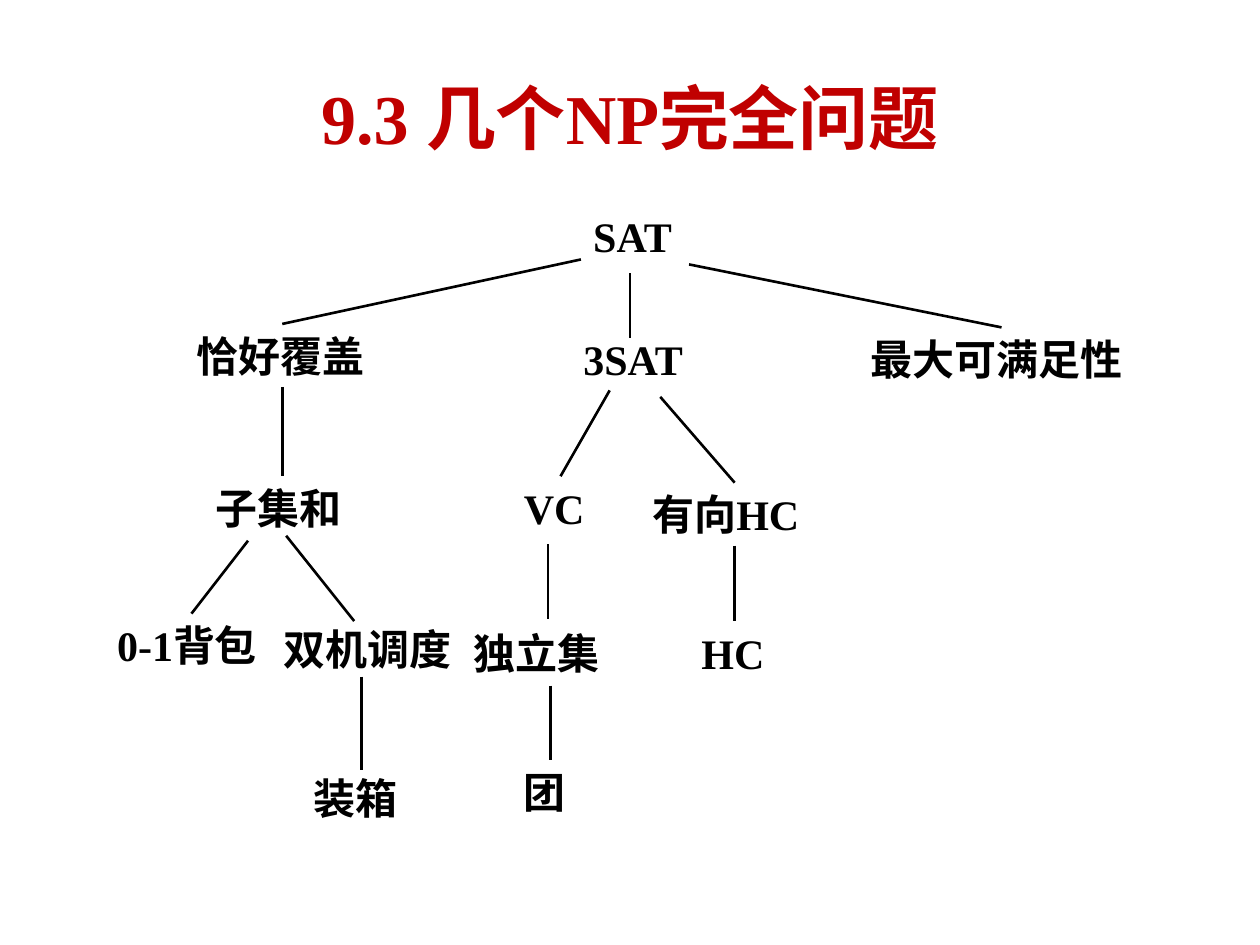
from typing import NamedTuple

from lxml import etree
from pptx import Presentation
from pptx.dml.color import RGBColor
from pptx.enum.shapes import MSO_CONNECTOR
from pptx.enum.text import MSO_ANCHOR, PP_ALIGN
from pptx.oxml.ns import qn
from pptx.util import Cm, Pt

FONT = "Times New Roman"
BLACK, RED = "000000", "C00000"
LEFT, CENTER = PP_ALIGN.LEFT, PP_ALIGN.CENTER
TOP, MIDDLE = MSO_ANCHOR.TOP, MSO_ANCHOR.MIDDLE
STRAIGHT = MSO_CONNECTOR.STRAIGHT


class Label(NamedTuple):
    text: str
    x: float
    y: float
    w: float
    h: float = 1.27
    size: int = 24
    color: str = BLACK
    align: PP_ALIGN = LEFT
    anchor: MSO_ANCHOR = TOP


class Edge(NamedTuple):
    x1: float
    y1: float
    x2: float
    y2: float


TITLE = Label("9.3 几个NP完全问题", 1.27, 0.76, 22.86, 3.18,
              40, RED, CENTER, MIDDLE)

# Problems of the tree, in cm
NODES = [
    Label("SAT", 11.71, 4.11, 3.61),
    Label("恰好覆盖", 3.71, 6.53, 4.01),
    Label("3SAT", 11.51, 6.6, 3.61),
    Label("最大可满足性", 17.3, 6.6, 5.79),
    Label("子集和", 4.09, 9.6, 3.2),
    Label("VC", 10.31, 9.6, 2.01),
    Label("有向HC", 12.9, 9.73, 3.81),
    Label("HC", 13.89, 12.52, 1.8),
    Label("独立集", 9.3, 12.52, 3.61),
    Label("团", 10.31, 15.32, 1.6),
    Label("双机调度", 5.46, 12.45, 4.39),
    Label("0-1背包", 2.11, 12.37, 3.56),
    Label("装箱", 6.07, 15.44, 2.41),
]

# Reductions from parent to child
EDGES = [
    Edge(11.71, 5.23, 5.69, 6.53),
    Edge(12.7, 5.51, 12.7, 6.81),
    Edge(13.89, 5.33, 20.19, 6.6),
    Edge(5.69, 7.8, 5.69, 9.6),
    Edge(12.29, 7.87, 11.3, 9.6),
    Edge(13.31, 8, 14.81, 9.73),
    Edge(11.1, 13.82, 11.1, 15.32),
    Edge(14.81, 11, 14.81, 12.52),
    Edge(5.77, 10.8, 7.14, 12.52),
    Edge(5, 10.9, 3.86, 12.37),
    Edge(7.29, 13.64, 7.29, 15.52),
    Edge(11.05, 10.97, 11.05, 12.47),
]


def paint(target, color: str) -> None:
    target.rgb = RGBColor.from_string(color)


def add_label(slide, label: Label) -> None:
    box = slide.shapes.add_textbox(
        Cm(label.x), Cm(label.y), Cm(label.w), Cm(label.h))
    frame = box.text_frame
    frame.word_wrap = True
    frame.vertical_anchor = label.anchor
    frame.text = label.text
    para = frame.paragraphs[0]
    para.alignment = label.align
    font = para.runs[0].font
    font.name, font.size, font.bold = FONT, Pt(label.size), True
    paint(font.color, label.color)


def add_edge(slide, edge: Edge) -> None:
    line = slide.shapes.add_connector(STRAIGHT, *map(Cm, edge))
    line.line.width = Pt(1.5)
    line.line.fill.solid()
    paint(line.line.fill.fore_color, BLACK)
    etree.SubElement(line._element.spPr, qn("a:effectLst"))


def main() -> None:
    deck = Presentation()
    deck.slide_width, deck.slide_height = Cm(25.4), Cm(19.05)
    slide = deck.slides.add_slide(deck.slide_layouts[6])

    # Title, then the tree
    for label in [TITLE, *NODES]:
        add_label(slide, label)
    for edge in EDGES:
        add_edge(slide, edge)

    deck.save("out.pptx")


if __name__ == "__main__":
    main()
